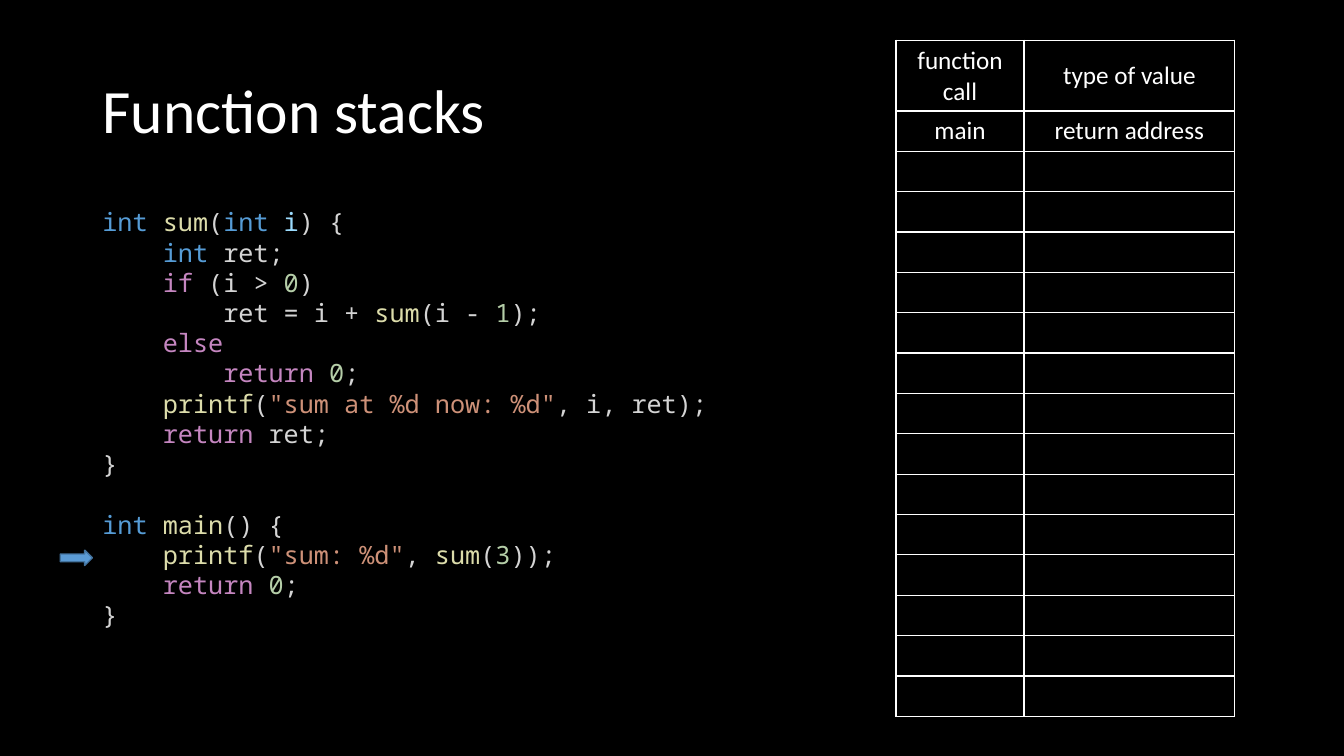
from lxml import etree
from pptx import Presentation
from pptx.dml.color import RGBColor
from pptx.enum.shapes import MSO_SHAPE
from pptx.enum.text import MSO_ANCHOR, PP_ALIGN
from pptx.oxml.ns import qn
from pptx.util import Pt

LEFT, CENTER = PP_ALIGN.LEFT, PP_ALIGN.CENTER
MIDDLE = MSO_ANCHOR.MIDDLE
RIGHT_ARROW = MSO_SHAPE.RIGHT_ARROW
TITLE_ONLY = 5

WHITE, BLACK = "FFFFFF", "000000"
PLAIN, STRING, NUMBER = "D4D4D4", "CE9178", "B5CEA8"
TYPE, FUNCTION, CONTROL, PARAMETER = "569CD6", "DCDCAA", "C586C0", "9CDCFE"
WORD_COLOURS = {
    "int": TYPE, "i": PARAMETER,
    "sum": FUNCTION, "main": FUNCTION, "printf": FUNCTION,
    "if": CONTROL, "else": CONTROL, "return": CONTROL,
}

CODE_SIZE, CODE_LEADING = 18, 21.6
INDENT_STEP = 43.2  # four monospaced characters
# Each function is a list of (indent level, tokens parted by "|").
SUM_CODE = [
    (0, "int| |sum|(|int| |i|) {"),
    (1, "int| ret;"),
    (1, "if| (i > |0|)"),
    (2, "ret = i + |sum|(i - |1|);"),
    (1, "else"),
    (2, "return| |0|;"),
    (1, 'printf|(|"sum at %d now: %d"|, i, ret);'),
    (1, "return| ret;"),
    (0, "}"),
]
MAIN_CODE = [
    (0, "int| |main|() {"),
    (1, 'printf|(|"sum: %d"|, |sum|(|3|));'),
    (1, "return| |0|;"),
    (0, "}"),
]

STACK_ROWS = 16
STACK_COLUMNS = [91.5, 150.5]
STACK_ENTRIES = [("function call", "type of value"), ("main", "return address")]


def rgb(colour):
    return RGBColor.from_string(colour)


def set_font(font, name, size, colour):
    font.name = name
    font.size = Pt(size)
    font.color.rgb = rgb(colour)


def place(shape, left, top, width, height):
    shape.left, shape.top = Pt(left), Pt(top)
    shape.width, shape.height = Pt(width), Pt(height)


def token_colour(token):
    if token.startswith('"'):
        return STRING
    if token.isdigit():
        return NUMBER
    return WORD_COLOURS.get(token, PLAIN)


def add_title(slide, text):
    title = slide.shapes.title
    place(title, 66, 28.8, 828, 104.4)
    title.text_frame.text = text
    title.text_frame.vertical_anchor = MIDDLE
    heading = title.text_frame.paragraphs[0]
    heading.alignment = LEFT
    heading.line_spacing = 0.9
    set_font(heading.font, "Calibri", 44, WHITE)


def add_code(slide, functions):
    frame = slide.shapes.add_textbox(Pt(66), Pt(144), Pt(480), Pt(334)).text_frame
    frame.word_wrap = True
    line = frame.paragraphs[0]
    for function_number, function in enumerate(functions):
        for line_number, (level, tokens) in enumerate(function):
            if function_number or line_number:
                line = frame.add_paragraph()
            if function_number and not line_number:
                line.space_before = Pt(CODE_LEADING)
            line.line_spacing = Pt(CODE_LEADING)
            line._p.get_or_add_pPr().set("marL", str(Pt(level * INDENT_STEP)))
            for token in tokens.split("|"):
                run = line.add_run()
                run.text = token
                set_font(run.font, "Noto Sans Mono", CODE_SIZE, token_colour(token))


def add_borders(cell, colour, width):
    properties = cell._tc.get_or_add_tcPr()
    for side in ("lnL", "lnR", "lnT", "lnB"):
        border = etree.SubElement(properties, qn(f"a:{side}"), w=str(Pt(width)))
        fill = etree.SubElement(border, qn("a:solidFill"))
        etree.SubElement(fill, qn("a:srgbClr"), val=colour)


def add_stack_table(slide):
    row_height = 28.1
    stack = slide.shapes.add_table(
        STACK_ROWS, len(STACK_COLUMNS), Pt(640), Pt(28.8),
        Pt(sum(STACK_COLUMNS)), Pt(STACK_ROWS * row_height)).table
    stack.first_row = stack.horz_banding = False
    for column, width in zip(stack.columns, STACK_COLUMNS):
        column.width = Pt(width)
    for row in stack.rows:
        row.height = Pt(row_height)
    for cell in stack.iter_cells():
        add_borders(cell, WHITE, 1)
        cell.fill.background()
        cell.vertical_anchor = MIDDLE
    for row, entry in zip(stack.rows, STACK_ENTRIES):
        for cell, text in zip(row.cells, entry):
            cell.text = text
            paragraph = cell.text_frame.paragraphs[0]
            paragraph.alignment = CENTER
            set_font(paragraph.font, "Calibri", 18, WHITE)


def add_current_line_arrow(slide):
    arrow = slide.shapes.add_shape(RIGHT_ARROW, Pt(43), Pt(393), Pt(23), Pt(11))
    arrow.shadow.inherit = False
    arrow.fill.solid()
    arrow.fill.fore_color.rgb = rgb("5B9BD5")
    arrow.line.color.rgb = rgb("43739E")
    arrow.line.width = Pt(1)


def main():
    presentation = Presentation()
    presentation.slide_width, presentation.slide_height = Pt(960), Pt(540)
    slide = presentation.slides.add_slide(presentation.slide_layouts[TITLE_ONLY])
    slide.background.fill.solid()
    slide.background.fill.fore_color.rgb = rgb(BLACK)
    add_title(slide, "Function stacks")
    add_code(slide, [SUM_CODE, MAIN_CODE])
    add_stack_table(slide)
    add_current_line_arrow(slide)
    presentation.save("out.pptx")


if __name__ == "__main__":
    main()
